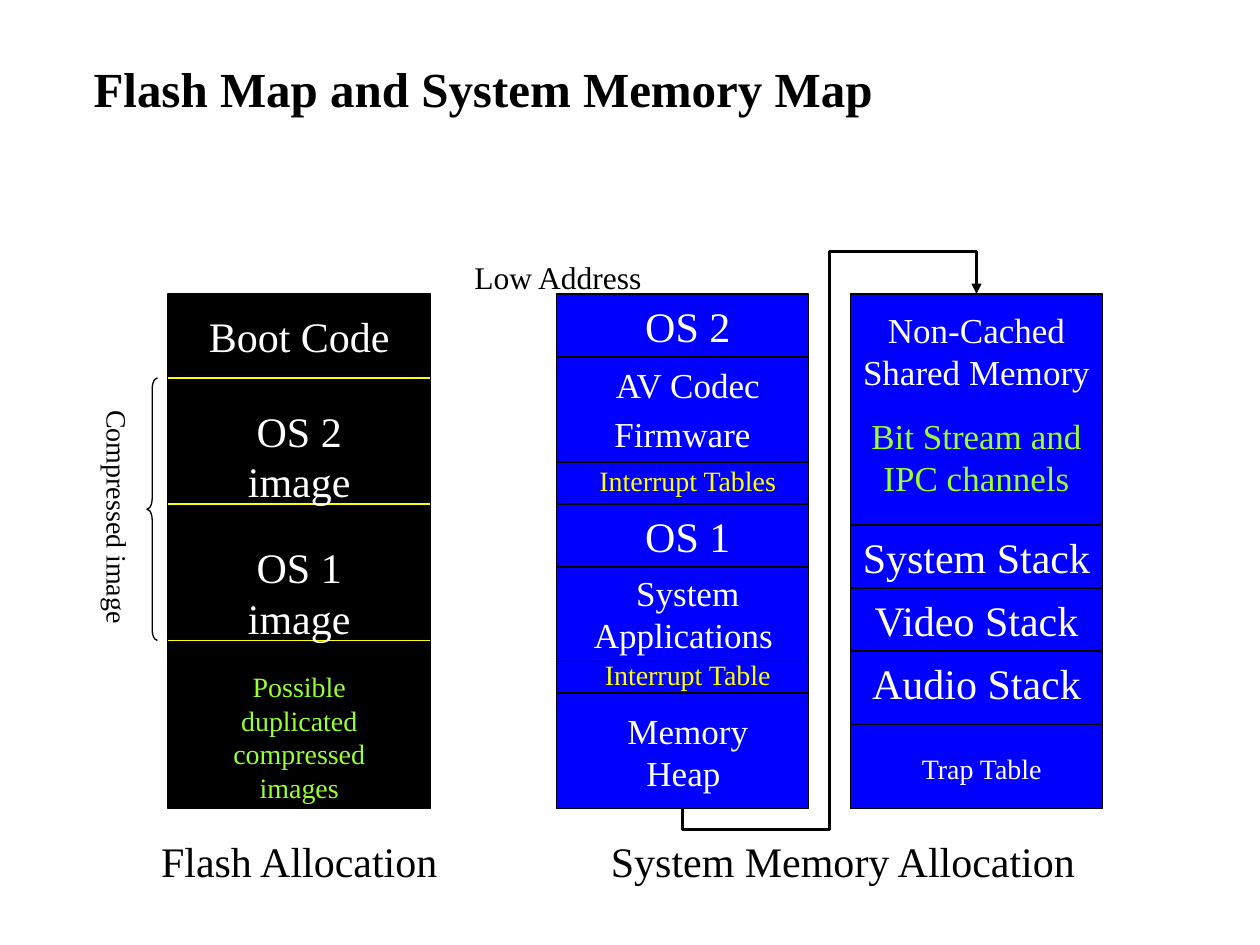
from lxml import etree
from pptx import Presentation
from pptx.dml.color import RGBColor
from pptx.enum import shapes, text
from pptx.oxml.ns import qn
from pptx import util as u

PX = 7620
FONT = "Times New Roman"
BLACK = RGBColor(0, 0, 0)
WHITE = RGBColor(255, 255, 255)
BLUE = RGBColor(0, 0, 255)
YELLOW = RGBColor(255, 255, 0)
GREEN = RGBColor(0x99, 0xFF, 0x33)
LEFT, CENTER = text.PP_ALIGN.LEFT, text.PP_ALIGN.CENTER
BAR_TOP, BAR_H = 280, 490
FLASH_X, FLASH_W = 160, 250
MEMORY_X, SHARED_X, MEMORY_W = 530, 810, 240


class Diagram:
    """Draws styled elements on one slide, with lengths in px."""

    def __init__(self, prs):
        self.s = prs.slides.add_slide(prs.slide_layouts[5])

    def stroke(self, sp, color=BLACK, width=0.75):
        sp.line.color.rgb = color
        sp.line.width = u.Pt(width)

    def set_text(self, sp, lines, size, color, align, bold=False):
        tf = sp.text_frame
        tf.word_wrap = True
        tf.vertical_anchor = text.MSO_ANCHOR.TOP
        tf.auto_size = text.MSO_AUTO_SIZE.SHAPE_TO_FIT_TEXT
        tf.text = lines
        for p in tf.paragraphs:
            p.alignment = align
            p.space_before = u.Pt(size * 0.625)
            for r in p.runs:
                r.font.name, r.font.size, r.font.bold = FONT, u.Pt(size), bold
                r.font.color.rgb = color
        return tf

    def title(self, words, x, y, w, h):
        sp = self.s.shapes.title
        sp.left, sp.top, sp.width, sp.height = (n * PX for n in (x, y, w, h))
        self.set_text(sp, words, 28, BLACK, CENTER, bold=True)

    def label(self, words, x, y, w, h, size, color=WHITE, align=CENTER, turn=0):
        sp = self.s.shapes.add_textbox(x * PX, y * PX, w * PX, h * PX)
        sp.rotation = turn
        return self.set_text(sp, words, size, color, align)

    def bar(self, x, w, fill, line, cuts):
        sp = self.s.shapes.add_shape(
            shapes.MSO_SHAPE.RECTANGLE, x * PX, BAR_TOP * PX, w * PX, BAR_H * PX)
        sp.shadow.inherit = False
        sp.fill.solid()
        sp.fill.fore_color.rgb = fill
        self.stroke(sp)
        for y in cuts:
            self.divider(x, x + w, y, line)

    def divider(self, x1, x2, y, color):
        sp = self.s.shapes.add_connector(
            shapes.MSO_CONNECTOR.STRAIGHT, x1 * PX, y * PX, x2 * PX, y * PX)
        self.stroke(sp, color)
        etree.SubElement(sp._element.spPr, qn("a:effectLst"))

    def brace(self, x, y, w, h):
        sp = self.s.shapes.add_shape(
            shapes.MSO_SHAPE.LEFT_BRACE, x * PX, y * PX, w * PX, h * PX)
        sp.adjustments[0] = 1.04
        sp.shadow.inherit = False
        sp.fill.background()
        self.stroke(sp)

    def arrow(self, start, *points):
        fb = self.s.shapes.build_freeform(*start, scale=PX)
        fb.add_line_segments(points, close=False)
        sp = fb.convert_to_shape()
        sp.shadow.inherit = False
        sp.fill.background()
        self.stroke(sp, width=1.75)
        ln = sp._element.spPr.find(qn("a:ln"))
        etree.SubElement(ln, qn("a:tailEnd"), type="triangle")


def main():
    prs = Presentation()
    prs.slide_width, prs.slide_height = 1200 * PX, 900 * PX
    d = Diagram(prs)
    d.title("Flash Map and System Memory Map", 70, 50, 780, 68)

    d.bar(FLASH_X, FLASH_W, BLACK, YELLOW, (360, 480, 610))
    d.bar(MEMORY_X, MEMORY_W, BLUE, BLACK, (340, 440, 480, 540, 630, 660))
    d.bar(SHARED_X, MEMORY_W, BLUE, BLACK, (500, 560, 620, 690))

    for words, y, h, size, color in (
            ("Boot Code", 290, 60, 24, WHITE),
            ("OS 2 image", 380, 108, 24, WHITE),
            ("OS 1 image", 510, 108, 24, WHITE),
            ("Possible duplicated compressed images", 632, 140, 16, GREEN)):
        d.label(words, FLASH_X + 20, y, 210, h, size, color)

    for words, y, h, size, color in (
            ("OS 2", 280, 60, 24, WHITE),
            ("Interrupt Tables", 436, 44, 16, YELLOW),
            ("OS 1", 480, 60, 24, WHITE),
            ("System Applications ", 538, 92, 20, WHITE),
            ("Interrupt Table", 620, 44, 16, YELLOW),
            ("Memory Heap ", 670, 92, 20, WHITE)):
        d.label(words, MEMORY_X + 20, y, 210, h, size, color)
    codec = d.label("AV Codec Firmware", MEMORY_X + 20, 340, 210, 100, 20)
    r = codec.paragraphs[0].add_run()
    r.text, r.font.name, r.font.size = " ", FONT, u.Pt(24)

    shared = d.label("Non-Cached Shared Memory\nBit Stream and IPC channels",
                     SHARED_X - 10, 288, 260, 193, 20)
    shared.paragraphs[1].runs[0].font.color.rgb = GREEN
    for i, kind in enumerate(("System", "Video", "Audio")):
        d.label(f"{kind} Stack", SHARED_X - 10, 500 + 60 * i, 260, 60, 24)
    d.label("Trap Table", SHARED_X + 20, 710, 210, 44, 16)

    d.label("Low Address", 440, 240, 280, 48, 18, BLACK, LEFT)
    d.label("Flash Allocation", 120, 790, 330, 60, 24, BLACK)
    d.label("System Memory Allocation", 570, 790, 490, 60, 24, BLACK, LEFT)
    d.label("Compressed image", -49, 518, 322, 44, 16, BLACK, LEFT, turn=90)
    d.brace(140, 360, 10, 250)
    d.arrow((650, 770), (650, 790), (790, 790), (790, 240), (930, 240), (930, 280))
    prs.save("out.pptx")


if __name__ == "__main__":
    main()
